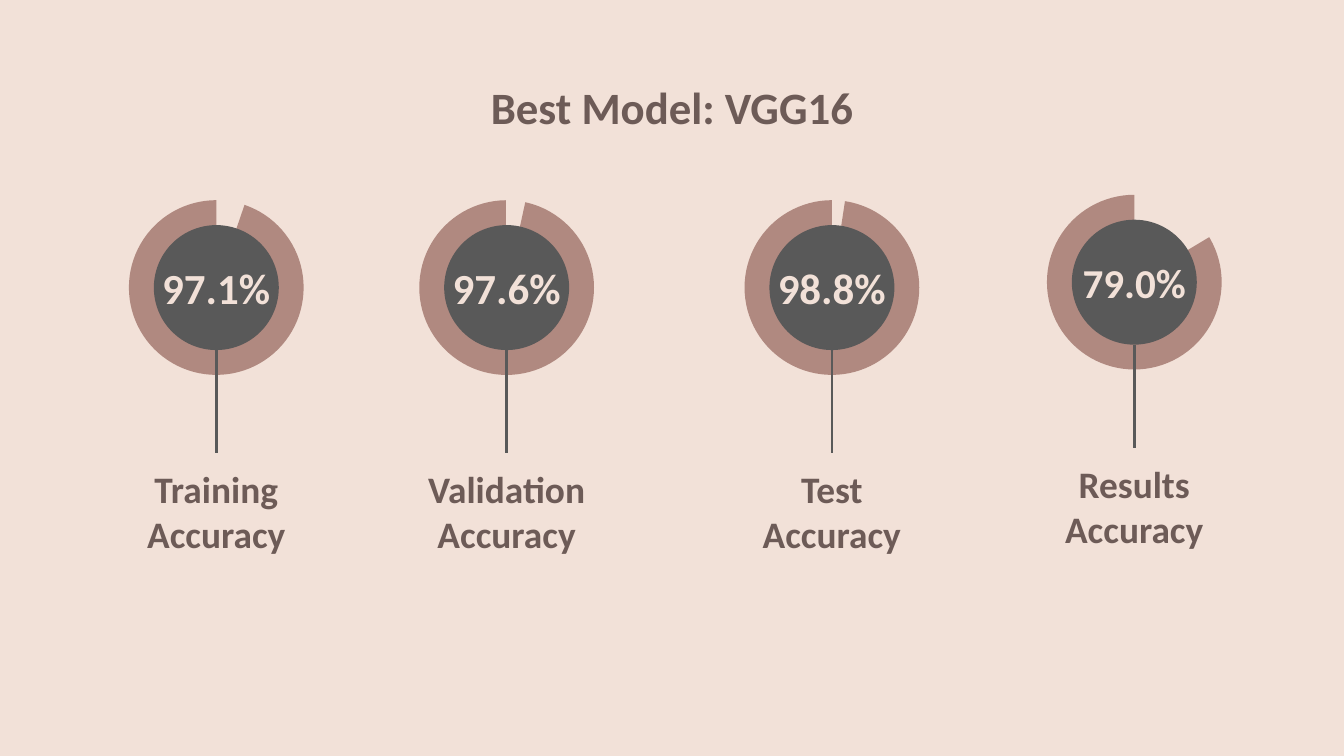
from pptx import Presentation
from pptx.dml.color import RGBColor
from pptx.enum.shapes import MSO_CONNECTOR, MSO_SHAPE
from pptx.enum.text import MSO_ANCHOR, PP_ALIGN
from pptx.oxml.ns import qn
from pptx.util import Inches, Pt
from lxml import etree

SAND = RGBColor(0xF2, 0xE1, 0xD8)
ROSE = RGBColor(0xB0, 0x89, 0x80)
GREY = RGBColor(0x59, 0x59, 0x59)
BROWN = RGBColor(0x6D, 0x5B, 0x57)

RING, DISC = 1.3, 0.93

# Center x, center y, start and end angle of the ring, value, value size, label
GAUGES = [
    (1.61, 2.14, 288.87, 270, "97.1%", 23, "Training\nAccuracy"),
    (3.77, 2.14, 282.32, 269.41, "97.6%", 23, "Validation\nAccuracy"),
    (6.19, 2.14, 278.61, 270, "98.8%", 23, "Test\nAccuracy"),
    (8.44, 2.1, 329, 270, "79.0%", 22, "Results\nAccuracy"),
]


def add_text(slide, text, x, y, w, h, size=20, color=BROWN,
             anchor=MSO_ANCHOR.TOP):
    """Add bold text centred on x, with its top at y."""
    box = slide.shapes.add_textbox(
        Inches(x - w / 2), Inches(y), Inches(w), Inches(h))
    frame = box.text_frame
    frame.word_wrap = True
    frame.vertical_anchor = anchor
    frame.margin_left = frame.margin_right = Inches(0.1)
    frame.margin_top = frame.margin_bottom = Inches(0.1)
    para = frame.paragraphs[0]
    para.text = text
    para.alignment = PP_ALIGN.CENTER
    for run in para.runs:
        run.font.name = "Calibri"
        run.font.size = Pt(size)
        run.font.bold = True
        run.font.color.rgb = color
    return box


def add_round(slide, kind, x, y, size, color):
    """Add a round shape centred on x, y."""
    shape = slide.shapes.add_shape(
        kind, Inches(x - size / 2), Inches(y - size / 2),
        Inches(size), Inches(size))
    shape.shadow.inherit = False
    shape.fill.solid()
    shape.fill.fore_color.rgb = color
    shape.line.fill.background()
    return shape


def add_stem(slide, x, top, label):
    """Run a line down from the disc to the label."""
    stem = slide.shapes.add_connector(
        MSO_CONNECTOR.STRAIGHT, Inches(x), Inches(top),
        Inches(x), label.top)
    stem.end_connect(label, 0)
    stem.line.color.rgb = GREY
    stem.line.width = Pt(1.5)
    etree.SubElement(stem._element.spPr, qn("a:effectLst"))


def add_gauge(slide, x, y, start, end, value, size, name):
    # Ring and disc
    ring = add_round(slide, MSO_SHAPE.PIE, x, y, RING, ROSE)
    for i, angle in enumerate((start, end)):
        ring.adjustments[i] = angle * 0.6  # 60000ths of a degree / 100000
    add_round(slide, MSO_SHAPE.OVAL, x, y, DISC, GREY)

    # Value, label and stem
    add_text(slide, value, x, y - 0.29, 1.96, 0.58, size=size, color=SAND,
             anchor=MSO_ANCHOR.MIDDLE)
    label = add_text(slide, name, x, y + 1.23, 2.46, 0.52)
    add_stem(slide, x, y + DISC / 2, label)


def main():
    # Wide 16:9 slide
    deck = Presentation()
    deck.slide_width = Inches(10)
    deck.slide_height = Inches(10 * 9 / 16)
    slide = deck.slides.add_slide(deck.slide_layouts[6])

    # Background and title
    slide.background.fill.solid()
    slide.background.fill.fore_color.rgb = SAND
    add_text(slide, "Best Model: VGG16", 5, 0.49, 8.43, 0.63, size=24)

    # Accuracy gauges
    for gauge in GAUGES:
        add_gauge(slide, *gauge)

    deck.save("out.pptx")


if __name__ == "__main__":
    main()
